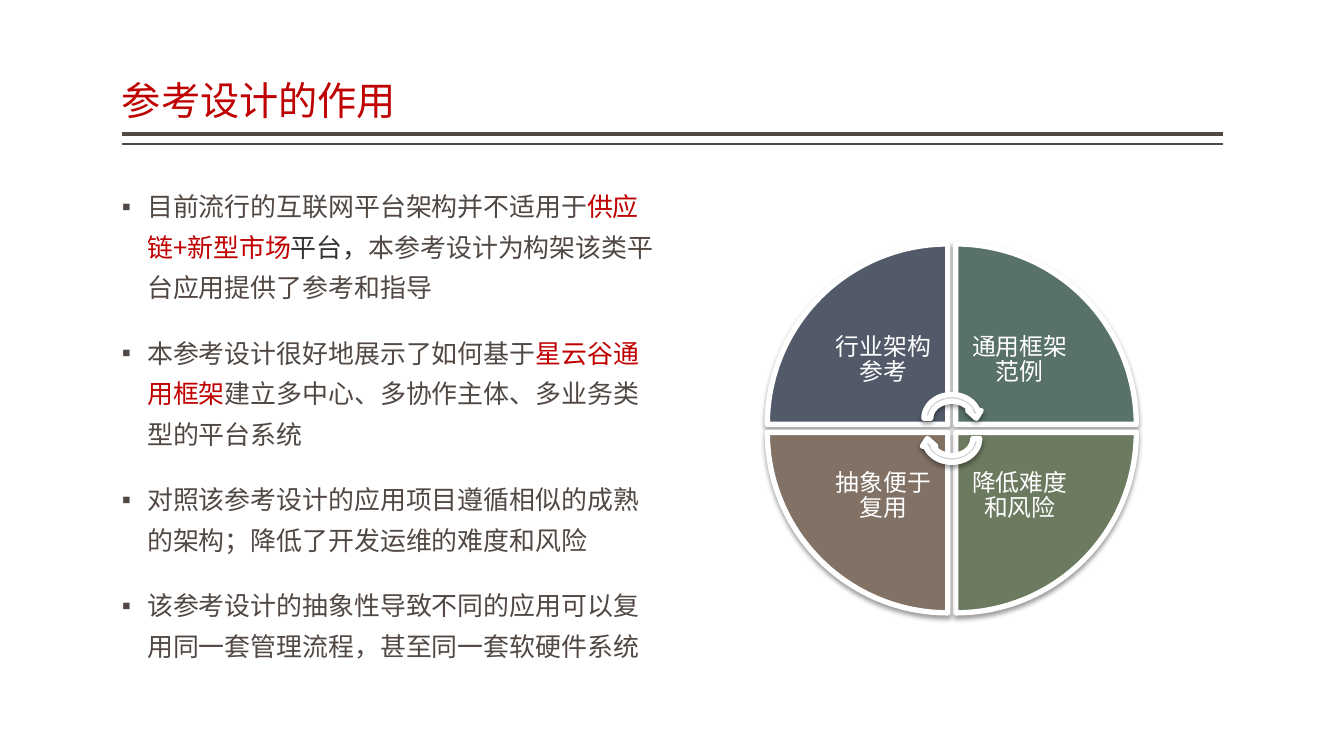
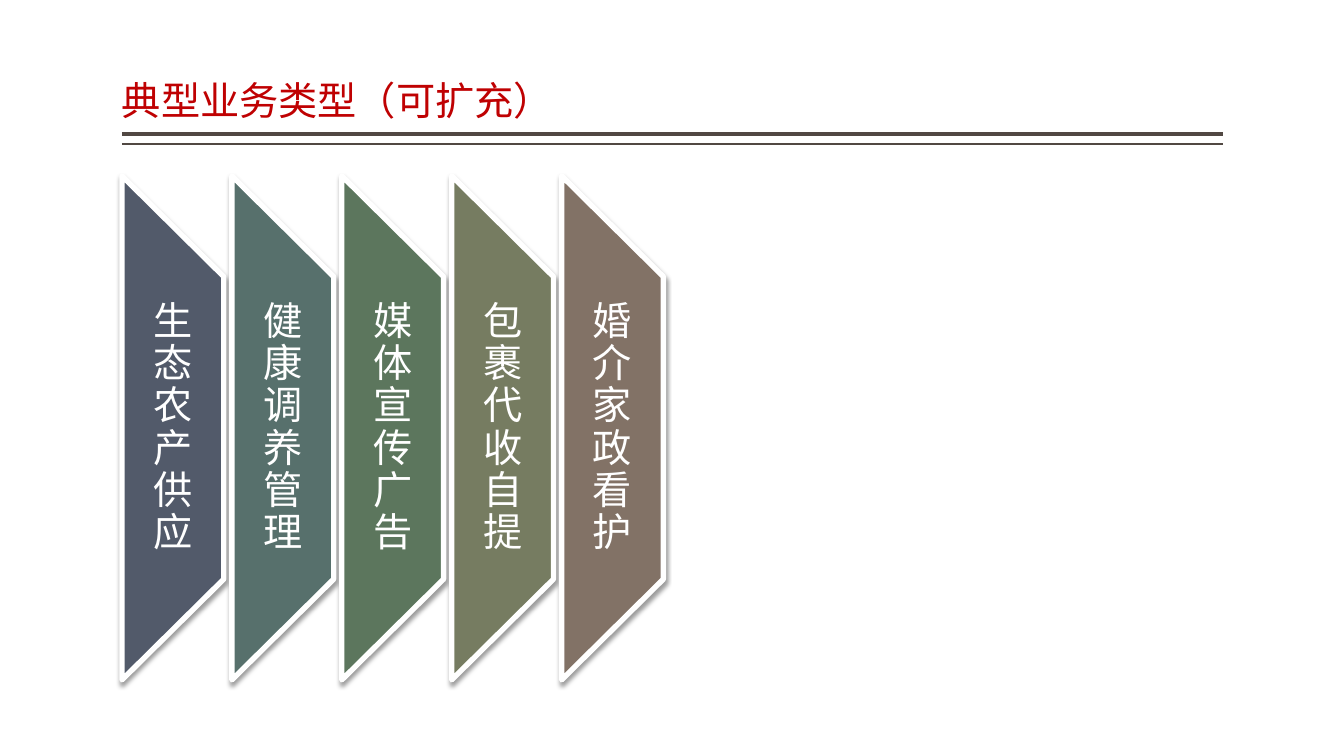
from lxml.etree import SubElement
from pptx import Presentation
from pptx.dml.color import RGBColor
from pptx.enum.shapes import MSO_CONNECTOR, MSO_SHAPE
from pptx.enum.text import MSO_ANCHOR, MSO_AUTO_SIZE, PP_ALIGN
from pptx.oxml.ns import qn
from pptx.util import Inches, Pt

COLORS = {
    "title": "BF0102", "accent": "C00000", "text": "514843", "dark": "333333",
    "white": "FFFFFF", "arrow": "D1D2D4", "slate": "525A6A", "teal": "57706C",
    "pine": "597268", "green": "5C765D", "moss": "6C7A5F", "olive": "767C61",
    "brown": "827266",
}
CJK = "Noto Sans CJK SC"
LEFT, RIGHT = 1.21, 12.13
FRAME = {"margin_left": 0, "margin_right": 0, "margin_top": Inches(0.05),
         "margin_bottom": Inches(0.05), "word_wrap": True,
         "auto_size": MSO_AUTO_SIZE.NONE}
TITLE_BOX = {"left": Inches(LEFT), "top": Inches(0.08),
             "width": Inches(RIGHT - LEFT), "height": Inches(1.2)}
BODY_BOX = {"left": Inches(LEFT), "top": Inches(1.75),
            "width": Inches(5.38), "height": Inches(5)}


def write(paragraph, text, size, color, font=CJK):
    run = paragraph.add_run()
    run.text = text
    run.font.size = Pt(size)
    run.font.name = font
    run.font.color.rgb = RGBColor.from_string(COLORS[color])
    SubElement(run._r.get_or_add_rPr(), qn("a:ea"), typeface=CJK)


def add_raised(slide, kind, box, rotation, color):
    shape = slide.shapes.add_shape(kind, *map(Inches, box))
    shape.rotation = rotation
    shape.fill.solid()
    shape.fill.fore_color.rgb = RGBColor.from_string(COLORS[color])
    shape.line.color.rgb = RGBColor.from_string(COLORS["white"])
    shape.line.width = Pt(3.82)
    shape.shadow.inherit = False
    effects = shape._element.spPr.find(qn("a:effectLst"))
    shadow = SubElement(effects, qn("a:outerShdw"), blurRad=str(Pt(3.5)),
                        dist=str(Pt(2)), dir="5400000", rotWithShape="0")
    black = SubElement(shadow, qn("a:srgbClr"), val="000000")
    SubElement(black, qn("a:alpha"), val="38000")


prs = Presentation()
prs.slide_width, prs.slide_height = Inches(13.33), Inches(7.5)
purpose = prs.slides.add_slide(prs.slide_layouts[1])
business = prs.slides.add_slide(prs.slide_layouts[5])

for y, weight in [(1.33, 3), (1.43, 1)]:
    rule = purpose.shapes.add_connector(
        MSO_CONNECTOR.STRAIGHT, Inches(LEFT), Inches(y), Inches(RIGHT), Inches(y))
    rule.line.color.rgb = RGBColor.from_string(COLORS["text"])
    rule.line.width = Pt(weight)
    SubElement(rule._element.spPr, qn("a:effectLst"))
    prs.slide_master.shapes._spTree.append(rule._element)

for slide, heading in [(purpose, "参考设计的作用"), (business, "典型业务类型（可扩充）")]:
    title = slide.shapes.title
    for name, value in TITLE_BOX.items():
        setattr(title, name, value)
    for name, value in FRAME.items():
        setattr(title.text_frame, name, value)
    title.text_frame.vertical_anchor = MSO_ANCHOR.BOTTOM
    line = title.text_frame.paragraphs[0]
    line.alignment = PP_ALIGN.LEFT
    line.line_spacing = 0.9
    write(line, heading, 28, "title")

points = [
    [("目前流行的互联网平台架构并不适用于", "text"), ("供应链+新型市场", "accent"),
     ("平台，", "dark"), ("本参考设计为构架该类平台应用提供了参考和指导", "text")],
    [("本参考设计很好地展示了如何基于", "text"), ("星云谷通用框架", "accent"),
     ("建立多中心、多协作主体、多业务类型的平台系统", "text")],
    [("对照该参考设计的应用项目遵循相似的成熟的架构；降低了开发运维的难度和风险", "text")],
    [("该参考设计的抽象性导致不同的应用可以复用同一套管理流程，甚至同一套软硬件系统", "text")],
]
body = purpose.placeholders[1]
for name, value in BODY_BOX.items():
    setattr(body, name, value)
for name, value in FRAME.items():
    setattr(body.text_frame, name, value)
for i, parts in enumerate(points):
    point = body.text_frame.add_paragraph() if i else body.text_frame.paragraphs[0]
    props = point._p.get_or_add_pPr()
    props.set("marL", str(Inches(0.25)))
    props.set("indent", str(-Inches(0.25)))
    SubElement(props, qn("a:buFont"), typeface="Arial")
    SubElement(props, qn("a:buChar"), char="▪")
    point.line_spacing = 1.3
    point.space_before = Pt(18 if i else 0)
    for text, color in parts:
        write(point, text, 18.5, color)

labels = []
wedges = [("行业架构参考", "slate", 0, 0), ("通用框架范例", "pine", 1, 0),
          ("降低难度和风险", "moss", 1, 1), ("抽象便于复用", "brown", 0, 1)]
for i, (text, color, col, row) in enumerate(wedges):
    x, y = 7.61 + 1.87 * col, 2.42 + 1.87 * row
    add_raised(purpose, MSO_SHAPE.PIE_WEDGE, (x, y, 1.79, 1.79), 90 * i, color)
    label_box = (x + 0.52 * (1 - col), y + 0.52 * (1 - row), 1.27, 1.27)
    labels.append((purpose, text, label_box, (0.13, 0.13), 17, "Arial"))
for y, rotation in [(3.88, 0), (4.08, 180)]:
    add_raised(purpose, MSO_SHAPE.CIRCULAR_ARROW, (9.13, y, 0.62, 0.54), rotation, "arrow")

services = [("生态农产供应", "slate"), ("健康调养管理", "teal"), ("媒体宣传广告", "green"),
            ("包裹代收自提", "olive"), ("婚介家政看护", "brown")]
LENGTH, BREADTH = 5, 1.01
for i, (text, color) in enumerate(services):
    x = LEFT + 1.09 * i
    blade_box = (x + (BREADTH - LENGTH) / 2, 3.74, LENGTH, BREADTH)
    add_raised(business, MSO_SHAPE.FLOWCHART_MANUAL_OPERATION, blade_box, 270, color)
    labels.append((business, text, (x, 2.75, BREADTH, 3), (0.19, 0), 28, CJK))

for slide, text, box, (side, end), size, font in labels:
    frame = slide.shapes.add_textbox(*map(Inches, box)).text_frame
    label_format = {"margin_left": Inches(side), "margin_right": Inches(side),
                    "margin_top": Inches(end), "margin_bottom": Inches(end),
                    "word_wrap": True, "vertical_anchor": MSO_ANCHOR.MIDDLE}
    for name, value in label_format.items():
        setattr(frame, name, value)
    label = frame.paragraphs[0]
    label.alignment = PP_ALIGN.CENTER
    label.line_spacing = 0.9
    write(label, text, size, "white", font)

prs.save("out.pptx")
